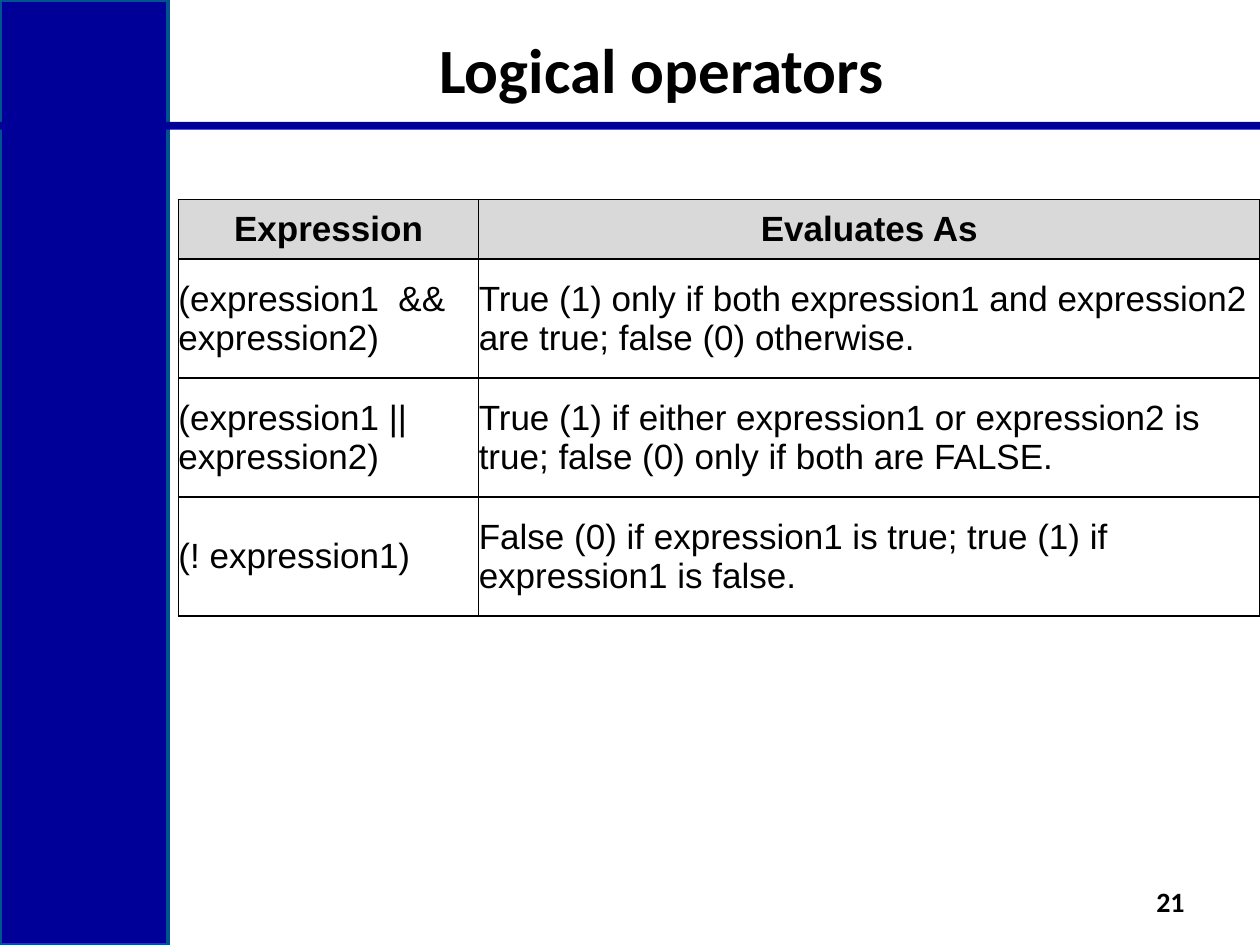
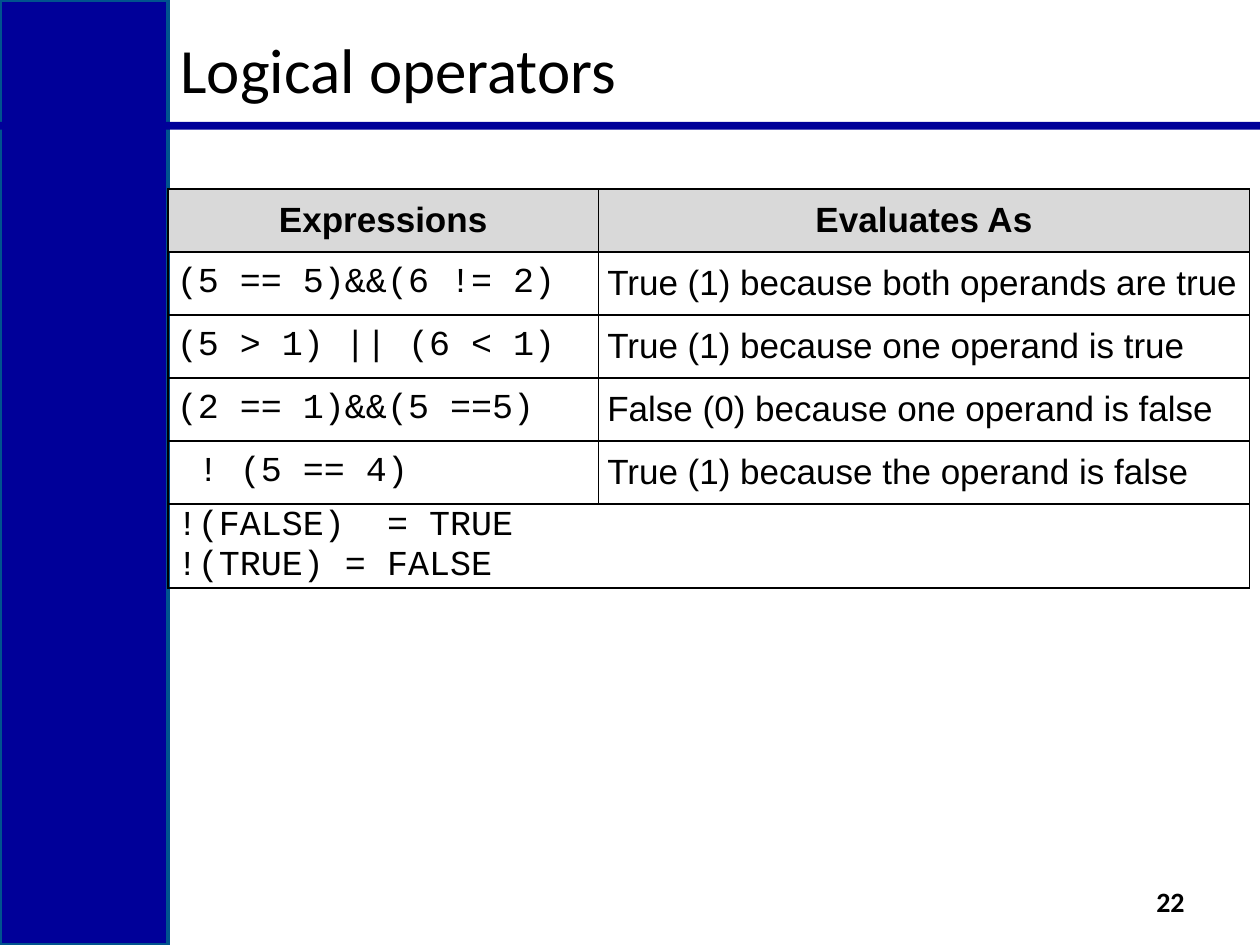
from pptx import Presentation
from pptx.dml.color import RGBColor
from pptx.enum.shapes import MSO_SHAPE
from pptx.enum.text import MSO_ANCHOR, PP_ALIGN
from pptx.oxml.ns import qn
from pptx.util import Emu, Inches, Pt
from lxml import etree

RECTANGLE = MSO_SHAPE.RECTANGLE
MIDDLE = MSO_ANCHOR.MIDDLE
LEFT, CENTER, RIGHT = PP_ALIGN.LEFT, PP_ALIGN.CENTER, PP_ALIGN.RIGHT

# The slide is a grid of 120 columns by 90 rows, twelve to the inch
COLUMNS, ROWS = 120, 90
UNIT = Inches(1) // 12

NAVY, BAND_EDGE, BLACK, HEADER_GRAY = "000099", "00538E", "000000", "D9D9D9"
HEADING_FONT, BODY_FONT, CODE_FONT = "Calibri", "Arial", "Courier New"

BAND_BOX = (0, 0, 16, ROWS)
RULE_BOX = (0, 11.6, COLUMNS, 0.75)
TITLE_BOX = (16, 2, 94, 9)
NUMBER_BOX = (105, 83.4, 9, 4.8)

OPERATOR_ROWS = [
    ("Expression", "Evaluates As"),
    ("(expression1  &&   expression2)",
     "True (1) only if both expression1 and expression2 are true; false (0) otherwise."),
    ("(expression1 || expression2)",
     "True (1) if either expression1 or expression2 is true; false (0) only if both are FALSE."),
    ("(! expression1)",
     "False (0) if expression1 is true; true (1) if expression1 is false."),
]
EXAMPLE_ROWS = [
    ("Expressions", "Evaluates As"),
    ("(5 == 5)&&(6 != 2)", "True (1) because both operands are true"),
    ("(5 > 1) || (6 < 1)", "True (1) because one operand is true"),
    ("(2 == 1)&&(5 ==5)", "False (0) because one operand is false"),
    (" ! (5 == 4)", "True (1) because the operand is false"),
    ("!(FALSE)  = TRUE\n!(TRUE) = FALSE",),
]


def color(hex_string):
    return RGBColor.from_string(hex_string)


def grid(*lengths):
    return [Emu(round(length * UNIT)) for length in lengths]


def write(text_frame, text, size, font_name, bold=False, alignment=LEFT):
    text_frame.text = text
    for paragraph in text_frame.paragraphs:
        paragraph.alignment = alignment
        paragraph.font.size = Pt(size)
        paragraph.font.name = font_name
        paragraph.font.bold = bold
        paragraph.font.color.rgb = color(BLACK)


def add_bar(slide, box, edge=None):
    shape = slide.shapes.add_shape(RECTANGLE, *grid(*box))
    shape.shadow.inherit = False
    shape.fill.solid()
    shape.fill.fore_color.rgb = color(NAVY)
    if edge:
        shape.line.color.rgb = color(edge)
        shape.line.width = Pt(2)
    else:
        shape.line.fill.background()


def add_label(slide, box, text, size, bold, alignment):
    text_frame = slide.shapes.add_textbox(*grid(*box)).text_frame
    text_frame.word_wrap = True
    text_frame.vertical_anchor = MIDDLE
    write(text_frame, text, size, HEADING_FONT, bold, alignment)


def add_frame(presentation, title, number, title_bold, title_alignment):
    """Start a slide with the side band, rule, title and slide number."""
    slide = presentation.slides.add_slide(presentation.slide_layouts[6])
    add_bar(slide, BAND_BOX, BAND_EDGE)
    add_bar(slide, RULE_BOX)
    add_label(slide, TITLE_BOX, title, 36, title_bold, title_alignment)
    add_label(slide, NUMBER_BOX, str(number), 16, True, RIGHT)
    return slide


def set_borders(cell, visible_sides):
    properties = cell._tc.get_or_add_tcPr()
    for side in "LRTB":
        line = etree.SubElement(properties, qn(f"a:ln{side}"), w=str(Pt(1)))
        if side in visible_sides:
            fill = etree.SubElement(line, qn("a:solidFill"))
            etree.SubElement(fill, qn("a:srgbClr"), val=BLACK)
        else:
            etree.SubElement(line, qn("a:noFill"))


def add_truth_table(slide, box, rows, column_widths, row_heights, inset, code_font):
    """Fill the box with a header, expression rows and an open closing row."""
    table = slide.shapes.add_table(len(row_heights), 2, *grid(*box)).table
    table.horz_banding = False
    for column, width in zip(table.columns, grid(*column_widths)):
        column.width = width
    for row, height in zip(table.rows, grid(*row_heights)):
        row.height = height

    # Borders, fills and margins
    for row_index, row in enumerate(table.rows):
        for cell in row.cells:
            set_borders(cell, "LRTB" if row_index < len(rows) else "T")
            cell.vertical_anchor = MIDDLE
            cell.margin_left = cell.margin_right = Inches(inset)
            cell.margin_top = cell.margin_bottom = 0
            if row_index == 0:
                cell.fill.solid()
                cell.fill.fore_color.rgb = color(HEADER_GRAY)
            else:
                cell.fill.background()

    # Wording; a row with fewer than two texts spans the table
    for row_index in range(len(row_heights)):
        texts = rows[row_index] if row_index < len(rows) else ()
        if len(texts) < 2:
            table.cell(row_index, 0).merge(table.cell(row_index, 1))
        for column_index, text in enumerate(texts):
            header = row_index == 0
            font_name = code_font if column_index == 0 and not header else BODY_FONT
            write(table.cell(row_index, column_index).text_frame, text, 20,
                  font_name, header, CENTER if header else LEFT)


def add_operators_slide(presentation):
    slide = add_frame(presentation, "Logical operators", 21, True, CENTER)
    add_truth_table(slide, (17, 19, 103, 51), OPERATOR_ROWS, (28.6, 74.4),
                    [5.67] + [11.33] * 4, 0, BODY_FONT)


def add_examples_slide(presentation):
    slide = add_frame(presentation, "Logical operators", 22, False, LEFT)
    add_truth_table(slide, (16, 18, 103, 50), EXAMPLE_ROWS, (41, 62),
                    [6] * 6 + [12], 0.07, CODE_FONT)


def main():
    presentation = Presentation()
    presentation.slide_width, presentation.slide_height = grid(COLUMNS, ROWS)
    add_operators_slide(presentation)
    add_examples_slide(presentation)
    presentation.save("out.pptx")


if __name__ == "__main__":
    main()
